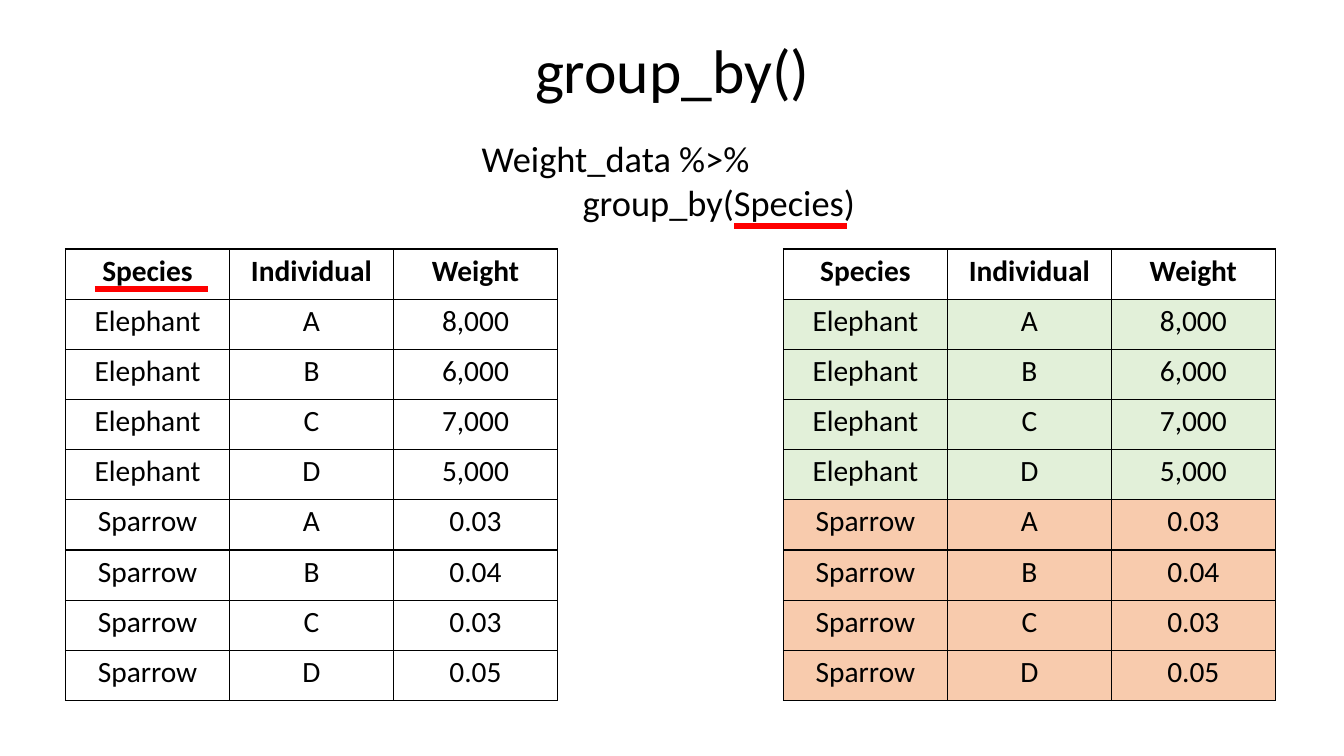
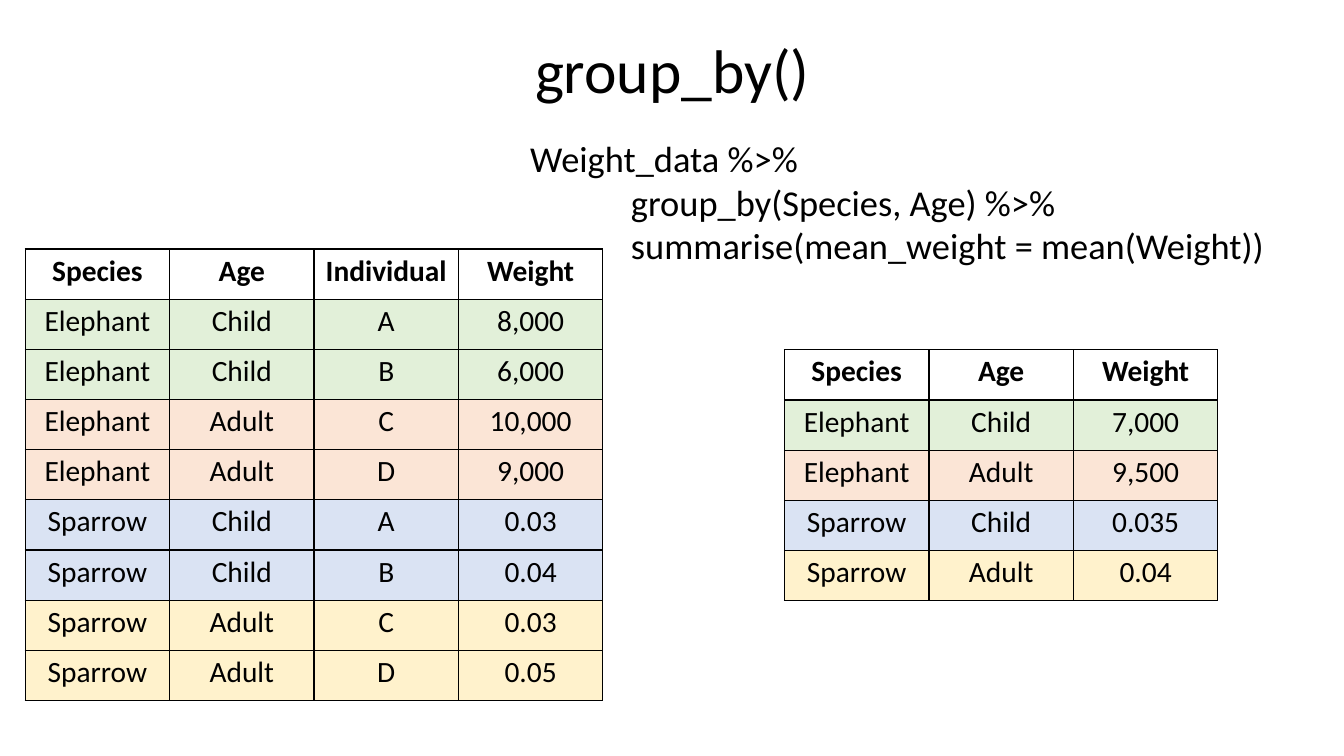
from lxml.etree import SubElement
from pptx import Presentation
from pptx.dml.color import RGBColor
from pptx.enum.shapes import MSO_CONNECTOR as Connector
from pptx.enum.text import MSO_ANCHOR as Anchor, MSO_AUTO_SIZE as AutoSize, PP_ALIGN as Align
from pptx.oxml.ns import qn
from pptx.util import Inches, Pt

COLORS = {
    "text": "000000",
    "border": "000000",
    "underline": "FF0000",
    "green": "E2F0D9",
    "orange": "F8CBAD",
    "peach": "FBE5D6",
    "blue": "DAE3F3",
    "yellow": "FFF2CC",
}
FONT = "Calibri"
TITLE_ONLY = 5
TABLE_TOP = 2.47
TABLE_HEIGHT = 4.48

SPECIES_ROWS = [
    ("Species", "Individual", "Weight"),
    ("Elephant", "A", "8,000"),
    ("Elephant", "B", "6,000"),
    ("Elephant", "C", "7,000"),
    ("Elephant", "D", "5,000"),
    ("Sparrow", "A", "0.03"),
    ("Sparrow", "B", "0.04"),
    ("Sparrow", "C", "0.03"),
    ("Sparrow", "D", "0.05"),
]
AGE_ROWS = [
    ("Species", "Age", "Individual", "Weight"),
    ("Elephant", "Child", "A", "8,000"),
    ("Elephant", "Child", "B", "6,000"),
    ("Elephant", "Adult", "C", "10,000"),
    ("Elephant", "Adult", "D", "9,000"),
    ("Sparrow", "Child", "A", "0.03"),
    ("Sparrow", "Child", "B", "0.04"),
    ("Sparrow", "Adult", "C", "0.03"),
    ("Sparrow", "Adult", "D", "0.05"),
]
SUMMARY_ROWS = [
    ("Species", "Age", "Weight"),
    ("Elephant", "Child", "7,000"),
    ("Elephant", "Adult", "9,500"),
    ("Sparrow", "Child", "0.035"),
    ("Sparrow", "Adult", "0.04"),
]
AGE_GROUPS = ["green", "peach", "blue", "yellow"]


def color(name):
    """Return the named colour of the palette."""
    return RGBColor.from_string(COLORS[name])


def write_text(frame, text, size, bold=False, align=Align.LEFT, spacing=None, indent=0):
    """Write one formatted paragraph per line, indenting all after the first."""
    for index, line in enumerate(text.split("\n")):
        paragraph = frame.add_paragraph() if index else frame.paragraphs[0]
        paragraph.alignment = align
        paragraph.line_spacing = spacing
        if index and indent:
            properties = paragraph._p.get_or_add_pPr()
            properties.set("marL", str(Inches(indent)))
            properties.set("indent", "0")
        run = paragraph.add_run()
        run.text = line
        run.font.name = FONT
        run.font.size = Pt(size)
        run.font.bold = bold
        run.font.color.rgb = color("text")


def add_titled_slide(presentation, title):
    """Add a slide with the shared title style."""
    slide = presentation.slides.add_slide(presentation.slide_layouts[TITLE_ONLY])
    shape = slide.shapes.title
    shape.left, shape.top = Inches(3.72), Inches(0)
    shape.width, shape.height = Inches(5.9), Inches(1.45)
    frame = shape.text_frame
    frame.auto_size = AutoSize.NONE
    frame.vertical_anchor = Anchor.MIDDLE
    write_text(frame, title, size=44, align=Align.CENTER, spacing=0.9)
    return slide


def add_code(slide, text, left, width, height):
    """Add the lines of code below the title."""
    box = slide.shapes.add_textbox(Inches(left), Inches(1.3), Inches(width), Inches(height))
    box.text_frame.word_wrap = False
    box.text_frame.auto_size = AutoSize.SHAPE_TO_FIT_TEXT
    write_text(box.text_frame, text, size=26, indent=1)


def set_borders(cell):
    """Draw a thin line on all four sides of a cell."""
    properties = cell._tc.get_or_add_tcPr()
    for side in ("lnL", "lnR", "lnT", "lnB"):
        line = SubElement(properties, qn(f"a:{side}"), w=str(Pt(1)))
        fill = SubElement(line, qn("a:solidFill"))
        SubElement(fill, qn("a:srgbClr"), val=COLORS["border"])


def format_cell(cell, text, bold, fill):
    """Write and style one table cell."""
    cell.margin_left = cell.margin_right = Inches(0.07)
    cell.margin_top = cell.margin_bottom = Inches(0.04)
    write_text(cell.text_frame, text, size=21, bold=bold, align=Align.CENTER)
    set_borders(cell)
    if fill:
        cell.fill.solid()
        cell.fill.fore_color.rgb = color(fill)
    else:
        cell.fill.background()


def add_data_table(slide, rows, left, width, top=TABLE_TOP, height=TABLE_HEIGHT, groups=(None,)):
    """Add a table whose body is split evenly into coloured groups."""
    table = slide.shapes.add_table(
        len(rows), len(rows[0]), Inches(left), Inches(top), Inches(width), Inches(height)
    ).table
    table.first_row = table.horz_banding = False
    group_size = (len(rows) - 1) // len(groups)
    for row_index, row in enumerate(rows):
        is_header = row_index == 0
        fill = None if is_header else groups[(row_index - 1) // group_size]
        for column_index, text in enumerate(row):
            format_cell(table.cell(row_index, column_index), text, is_header, fill)


def add_underline(slide, left, top):
    """Add a thick horizontal line under a word."""
    line = slide.shapes.add_connector(
        Connector.STRAIGHT, Inches(left), Inches(top), Inches(left + 1.12), Inches(top)
    )
    line.line.color.rgb = color("underline")
    line.line.width = Pt(4.5)
    SubElement(line._element.spPr, qn("a:effectLst"))


def build_species_slide(presentation):
    """Show the data before and after grouping by species."""
    slide = add_titled_slide(presentation, "group_by()")
    add_data_table(slide, SPECIES_ROWS, left=0.65, width=4.88)
    add_data_table(slide, SPECIES_ROWS, left=7.77, width=4.88, groups=["green", "orange"])
    add_code(slide, "Weight_data %>%\ngroup_by(Species)", left=4.68, width=3.94, height=0.98)
    add_underline(slide, left=7.28, top=2.24)
    add_underline(slide, left=0.94, top=2.87)


def build_age_slide(presentation):
    """Show the data grouped by species and age beside its summary."""
    slide = add_titled_slide(presentation, "group_by()")
    add_data_table(slide, AGE_ROWS, left=0.25, width=5.73, groups=AGE_GROUPS)
    code = (
        "Weight_data %>%\n"
        "group_by(Species, Age) %>%\n"
        "summarise(mean_weight = mean(Weight))"
    )
    add_code(slide, code, left=5.16, width=7.55, height=1.41)
    add_data_table(
        slide, SUMMARY_ROWS, left=7.78, width=4.3, top=3.47, height=2.49, groups=AGE_GROUPS
    )


def main():
    """Build and save the presentation."""
    presentation = Presentation()
    presentation.slide_width = Inches(13.33)
    presentation.slide_height = Inches(7.5)
    build_species_slide(presentation)
    build_age_slide(presentation)
    presentation.save("out.pptx")


if __name__ == "__main__":
    main()
